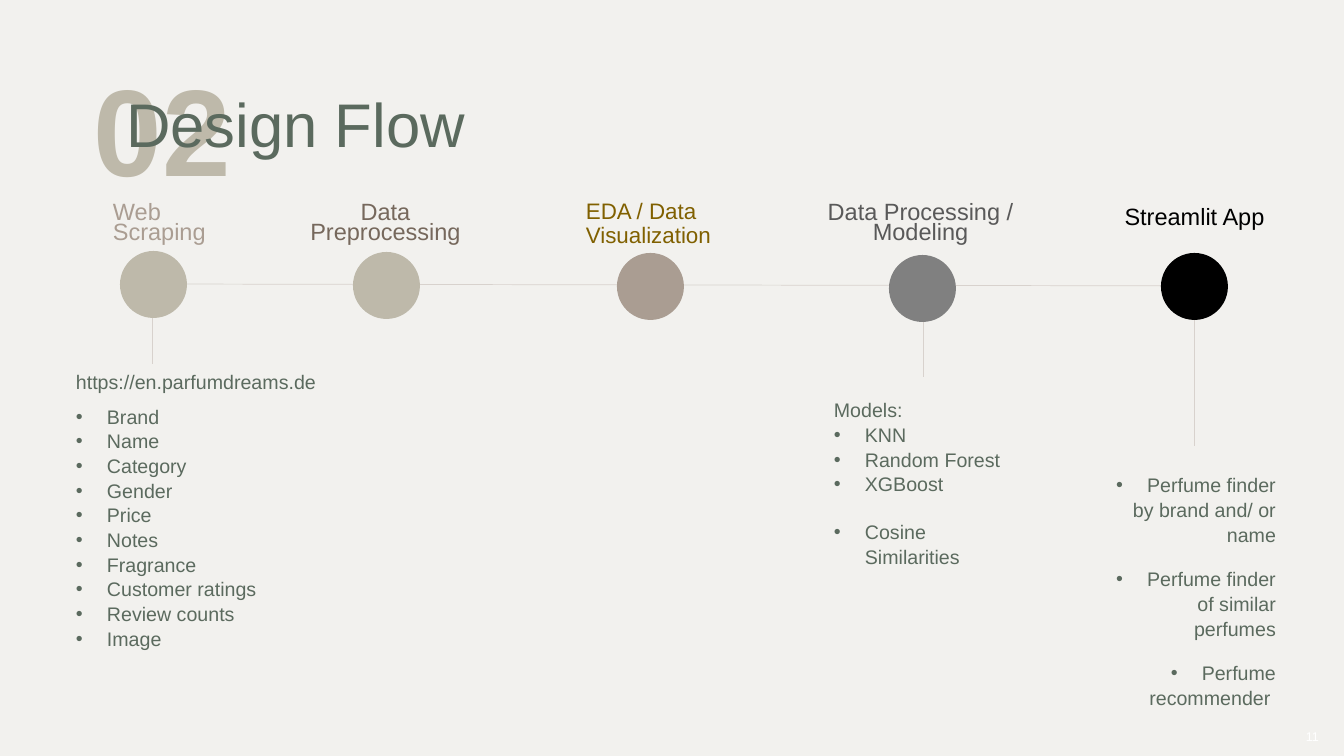
from lxml import etree
from pptx import Presentation
from pptx import util as u
from pptx.dml.color import RGBColor
from pptx.enum import shapes, text
from pptx.oxml.ns import qn

PX = 914400 / 100.8
SLIDE_SIZE = (1344, 756)
FONT = "Arial"
GREEN, SAND, LINE, BACKGROUND = "5B6A5E", "BEB9AA", "D8D2CD", "F2F1EE"
LEFT, CENTER, RIGHT = text.PP_ALIGN.LEFT, text.PP_ALIGN.CENTER, text.PP_ALIGN.RIGHT
TOP, MIDDLE = text.MSO_ANCHOR.TOP, text.MSO_ANCHOR.MIDDLE

TITLE = ("Design Flow", (116, 72, 991, 111))
NUMERAL = ("02", (84, 65, 343, 147))
PAGE = ("11", (1292, 723, 41, 27))

# label, box, size, colour, alignment, line spacing
LABELS = [
    ("Web Scraping", (103, 197, 166, 55), 16.8, "AA9D92", LEFT, 0.7),
    ("Data Preprocessing", (287, 197, 197, 55), 16.8, "76685C", CENTER, 0.7),
    ("EDA / Data Visualization", (576, 192, 178, 65), 16, "806000", LEFT, 0.9),
    ("Data Processing / Modeling", (784, 197, 273, 55), 16.8, "595959", CENTER, 0.7),
    ("Streamlit App", (1114, 192, 161, 55), 16.8, "000000", CENTER, 0.7),
]
DOT = 67
DOTS = [  # left, top, fill
    (120, 251, SAND),
    (353, 252, SAND),
    (617, 253, "AA9D92"),
    (1161, 253, "000000"),
    (889, 255, "808080"),
]
LINES = [  # x1, y1, x2, y2
    (152, 295, 152, 364),
    (923, 287, 923, 377),
    (1194, 276, 1194, 446),
    (158, 284, 1227, 286),
]

# box, alignment, heading indent, bullet indent, rows of (text, bulleted, space after in points)
DETAILS = [
    ((41, 364, 316, 281), LEFT, 25, 56,
     [("https://en.parfumdreams.de", False, 7)]
     + [(field, True, 0) for field in (
         "Brand", "Name", "Category", "Gender", "Price", "Notes", "Fragrance",
         "Customer ratings", "Review counts", "Image")]),
    ((824, 392, 191, 176), LEFT, 0, 31,
     [("Models:", False, 0), ("KNN", True, 0), ("Random Forest", True, 0),
      ("XGBoost", True, 16.8), ("Cosine Similarities", True, 0)]),
    ((1085, 467, 191, 244), RIGHT, 0, 31,
     [("Perfume finder by brand and/ or name", True, 14.3),
      ("Perfume finder of similar perfumes", True, 14.3),
      ("Perfume recommender ", True, 0)]),
]
HANGING = 31


def emu(pixels):
    return u.Emu(round(pixels * PX))


def color(value):
    return RGBColor.from_string(value)


def place(shape, box):
    shape.left, shape.top, shape.width, shape.height = map(emu, box)


def style(paragraph, size, hex_color, align=LEFT, spacing=1.0, bold=False):
    paragraph.alignment = align
    paragraph.line_spacing = spacing
    font = paragraph.font
    font.name, font.size, font.bold = FONT, u.Pt(size), bold
    font.color.rgb = color(hex_color)


def write(shape, words, anchor, *args, **kwargs):
    """Fill a shape with one styled paragraph."""
    frame = shape.text_frame
    frame.word_wrap = True
    frame.auto_size = text.MSO_AUTO_SIZE.NONE
    frame.vertical_anchor = anchor
    frame.text = words
    style(frame.paragraphs[0], *args, **kwargs)


def add_text(slide, box):
    return slide.shapes.add_textbox(*map(emu, box))


def set_indent(paragraph, indent, bulleted):
    properties = paragraph._p.get_or_add_pPr()
    properties.set("marL", str(emu(indent)))
    if bulleted:
        properties.set("indent", str(-emu(HANGING)))
        etree.SubElement(properties, qn("a:buFont")).set("typeface", FONT)
        etree.SubElement(properties, qn("a:buChar")).set("char", "•")


def add_details(slide, box, align, heading_indent, bullet_indent, rows):
    frame = add_text(slide, box).text_frame
    frame.word_wrap = True
    frame.margin_right = 0
    for index, (words, bulleted, gap) in enumerate(rows):
        paragraph = frame.add_paragraph() if index else frame.paragraphs[0]
        paragraph.text = words
        set_indent(paragraph, bullet_indent if bulleted else heading_indent, bulleted)
        style(paragraph, 14, GREEN, align, 1.05)
        paragraph.space_after = u.Pt(gap)


def add_line(slide, ends):
    line = slide.shapes.add_connector(shapes.MSO_CONNECTOR.STRAIGHT, *map(emu, ends))
    line.line.color.rgb = color(LINE)
    line.line.width = u.Pt(0.5)
    etree.SubElement(line._element.spPr, qn("a:effectLst"))


def add_dot(slide, left, top, fill):
    dot = slide.shapes.add_shape(
        shapes.MSO_SHAPE.OVAL, *map(emu, (left, top, DOT, DOT)))
    dot.shadow.inherit = False
    dot.fill.solid()
    dot.fill.fore_color.rgb = color(fill)
    dot.line.fill.background()


def main():
    presentation = Presentation()
    presentation.slide_width, presentation.slide_height = map(emu, SLIDE_SIZE)
    slide = presentation.slides.add_slide(presentation.slide_layouts[5])
    slide.background.fill.solid()
    slide.background.fill.fore_color.rgb = color(BACKGROUND)

    title = slide.shapes.title
    place(title, TITLE[1])
    write(title, TITLE[0], MIDDLE, 44, GREEN, spacing=0.9)
    numeral = add_text(slide, NUMERAL[1])
    write(numeral, NUMERAL[0], TOP, 88, SAND, spacing=0.9, bold=True)
    title.element.addprevious(numeral.element)  # the numeral sits behind the title

    for ends in LINES:
        add_line(slide, ends)
    for dot in DOTS:
        add_dot(slide, *dot)
    for words, box, *look in LABELS:
        write(add_text(slide, box), words, MIDDLE, *look)
    for details in DETAILS:
        add_details(slide, *details)
    write(add_text(slide, PAGE[1]), PAGE[0], MIDDLE, 9, "FFFFFF", CENTER)
    presentation.save("out.pptx")


if __name__ == "__main__":
    main()
